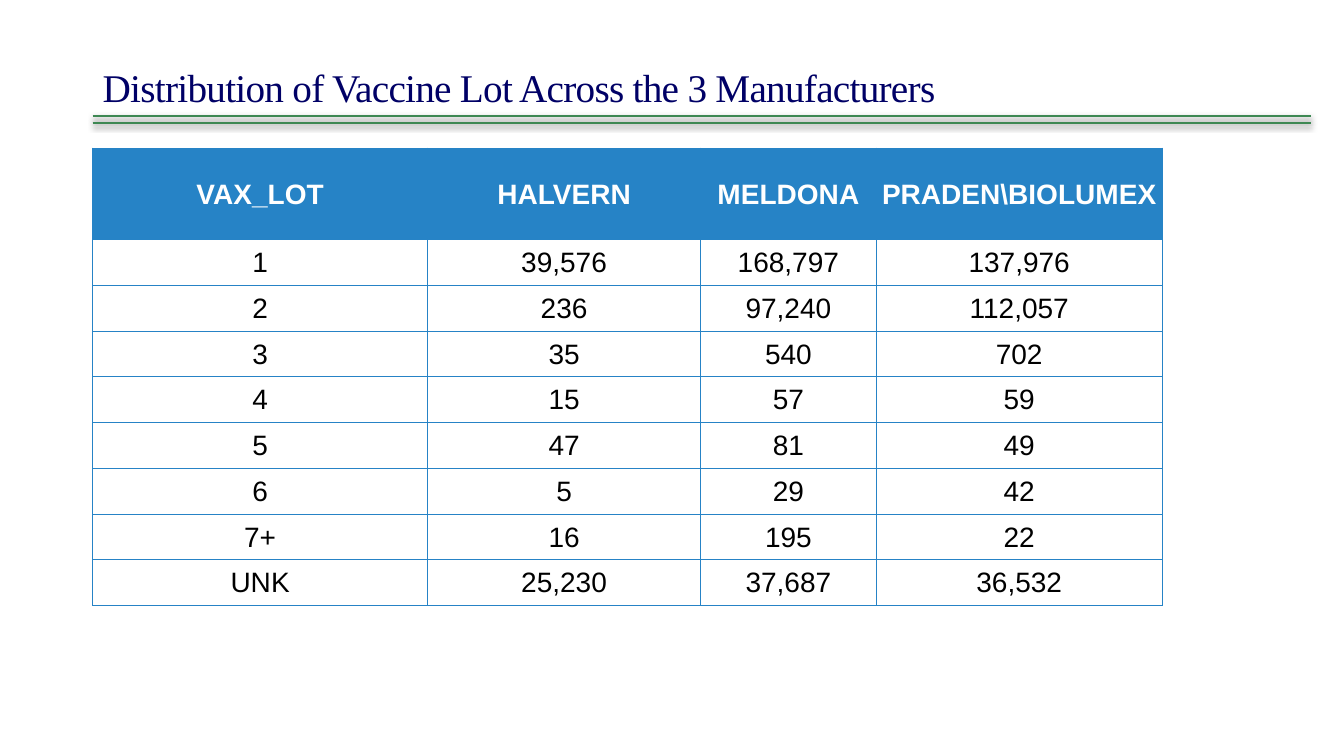
from lxml import etree
from pptx import Presentation
from pptx.dml.color import RGBColor
from pptx.enum.shapes import MSO_CONNECTOR
from pptx.enum.text import MSO_ANCHOR, PP_ALIGN
from pptx.oxml.ns import qn
from pptx.util import Inches, Pt

STRAIGHT = MSO_CONNECTOR.STRAIGHT
BOTTOM, MIDDLE = MSO_ANCHOR.BOTTOM, MSO_ANCHOR.MIDDLE
CENTER = PP_ALIGN.CENTER

COLORS = {
    "title": "000066",
    "rule": "3E8853",
    "grid": "2683C6",
    "header": "FFFFFF",
    "body": "000000",
}

LOT_COUNTS = [
    ["VAX_LOT", "HALVERN", "MELDONA", "PRADEN\\BIOLUMEX"],
    ["1", "39,576", "168,797", "137,976"],
    ["2", "236", "97,240", "112,057"],
    ["3", "35", "540", "702"],
    ["4", "15", "57", "59"],
    ["5", "47", "81", "49"],
    ["6", "5", "29", "42"],
    ["7+", "16", "195", "22"],
    ["UNK", "25,230", "37,687", "36,532"],
]

# Shares of the slide's size, in percent
LEFT = 6.9
RULE_WIDTH = 90.62
COLUMN_WIDTHS = [24.91, 20.33, 13.05, 21.3]
ROW_HEIGHT = 6.05


def rgb(name):
    return RGBColor.from_string(COLORS[name])


def add_color(parent, name):
    return etree.SubElement(parent, qn("a:srgbClr"), val=COLORS[name])


class LotSlide:
    """Holds the style and the slide; all lengths are percent of its size."""

    def __init__(self, prs):
        self.width, self.height = prs.slide_width, prs.slide_height
        self.shapes = prs.slides.add_slide(prs.slide_layouts[6]).shapes

    def x(self, share):
        return round(self.width * share / 100)

    def y(self, share):
        return round(self.height * share / 100)

    def style_run(self, run, font, size, color, bold=False):
        run.font.name = font
        run.font.size = Pt(size)
        run.font.bold = bold
        run.font.color.rgb = rgb(color)

    def title(self, text, left, top, width, height):
        box = self.shapes.add_textbox(
            self.x(left), self.y(top), self.x(width), self.y(height))
        frame = box.text_frame
        frame.word_wrap = True
        frame.vertical_anchor = BOTTOM
        frame.text = text
        heading = frame.paragraphs[0]
        heading.line_spacing = 0.85
        self.style_run(heading.runs[0], "Times New Roman", 28, "title")
        heading.runs[0].font._element.set("spc", "-50")

    def rule(self, left, top, width):
        """Draw a horizontal line with a soft shadow below it."""
        line = self.shapes.add_connector(
            STRAIGHT, self.x(left), self.y(top),
            self.x(left + width), self.y(top))
        line.line.color.rgb = rgb("rule")
        line.line.width = Pt(1.75)
        effects = etree.SubElement(line._element.spPr, qn("a:effectLst"))
        shadow = etree.SubElement(
            effects, qn("a:outerShdw"), blurRad=str(Pt(4)), dist=str(Pt(2)),
            dir="5400000", rotWithShape="0")
        black = add_color(shadow, "body")
        etree.SubElement(black, qn("a:alpha"), val="28000")

    def table(self, rows, left, top, column_widths, row_height):
        """Draw a table whose header is two rows high."""
        frame = self.shapes.add_table(
            len(rows), len(column_widths), self.x(left), self.y(top),
            self.x(sum(column_widths)), self.y(row_height * (len(rows) + 1)))
        table = frame.table
        table.first_row = table.horz_banding = False
        for column, width in zip(table.columns, column_widths):
            column.width = self.x(width)
        for r, values in enumerate(rows):
            is_header = r == 0
            table.rows[r].height = self.y(row_height * (2 if is_header else 1))
            for c, value in enumerate(values):
                self.cell(table.cell(r, c), value, is_header)

    def cell(self, cell, value, is_header):
        cell.margin_left = cell.margin_right = cell.margin_top = Inches(0.01)
        cell.margin_bottom = 0
        cell.vertical_anchor = MIDDLE
        cell.text = value
        entry = cell.text_frame.paragraphs[0]
        entry.alignment = CENTER
        self.style_run(entry.runs[0], "Arial", 20,
                       "header" if is_header else "body", is_header)
        properties = cell._tc.get_or_add_tcPr()
        for side in ("lnL", "lnR", "lnT", "lnB"):
            border = etree.SubElement(
                properties, qn(f"a:{side}"), w=str(Pt(0.75)))
            add_color(etree.SubElement(border, qn("a:solidFill")), "grid")
        if is_header:
            cell.fill.solid()
            cell.fill.fore_color.rgb = rgb("grid")
        else:
            cell.fill.background()


def main():
    prs = Presentation()
    prs.slide_width, prs.slide_height = Inches(13.33), Inches(7.5)
    slide = LotSlide(prs)
    slide.title("Distribution of Vaccine Lot Across the 3 Manufacturers",
                LEFT, 4.13, RULE_WIDTH, 11.2)
    for top in (15.33, 16.27):
        slide.rule(LEFT, top, RULE_WIDTH)
    slide.table(LOT_COUNTS, LEFT, 19.6, COLUMN_WIDTHS, ROW_HEIGHT)
    prs.save("out.pptx")


if __name__ == "__main__":
    main()
